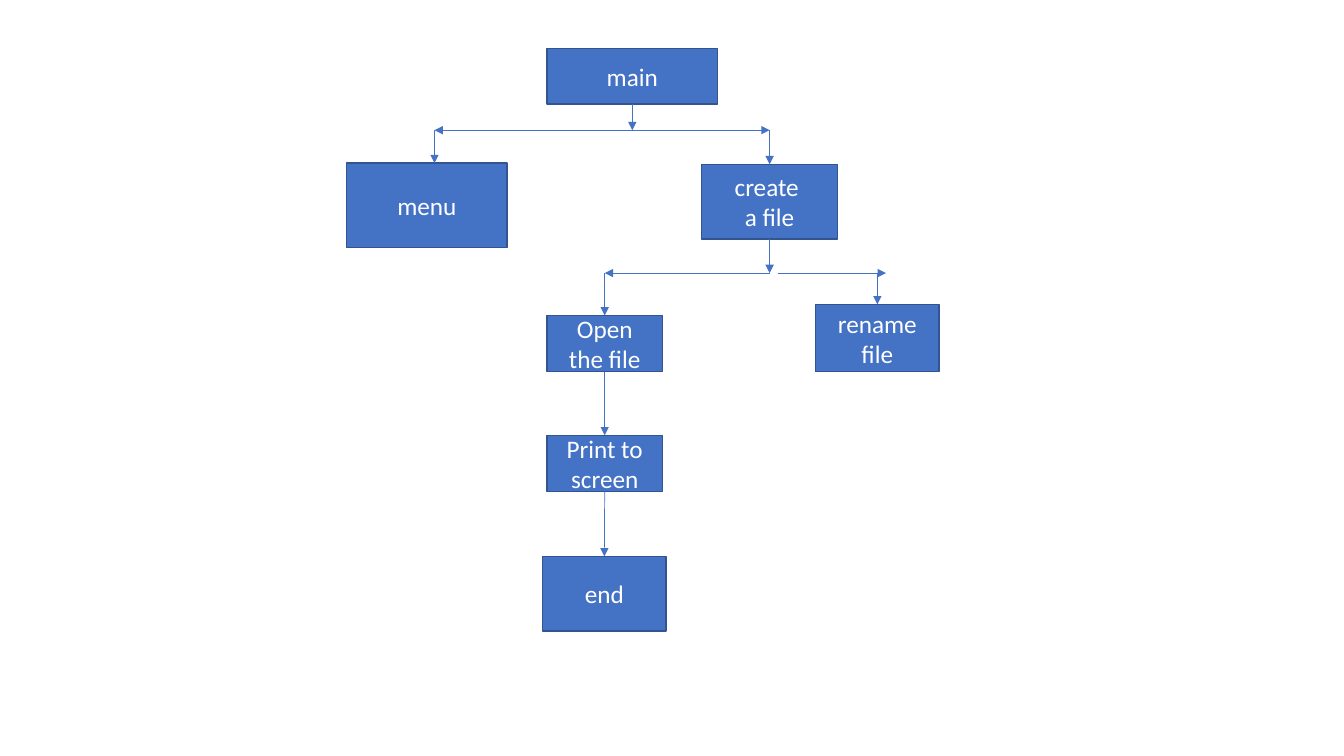
import pptx
import pptx.dml.color
import pptx.enum.shapes
import pptx.enum.text
import pptx.util
from lxml import etree
from pptx.oxml.ns import qn

FILL = "4472C4"
BORDER = "325491"
WHITE = "FFFFFF"
FONT = "Calibri"

# name: (text, left, top, width, height) in centimetres
BOXES = {
    "main": ("main", 13.79, 1.22, 4.29, 1.4),
    "menu": ("menu", 8.74, 4.11, 4.04, 2.13),
    "create": ("create \na file", 17.68, 4.14, 3.43, 1.88),
    "rename": ("rename file", 20.55, 7.67, 3.12, 1.7),
    "open": ("Open the file", 13.79, 7.95, 2.9, 1.42),
    "print": ("Print to screen", 13.79, 10.97, 2.9, 1.42),
    "end": ("end", 13.67, 14.02, 3.12, 1.88),
}
UPPER_BRANCH = 3.28
LOWER_BRANCH = 6.88
MENU_ARROW_X = 10.95


def color(value):
    """Turn a hex string into a colour."""
    return pptx.dml.color.RGBColor.from_string(value)


def add_box(slide, text, left, top, width, height):
    """Add a blue box with centred white text."""
    shape = slide.shapes.add_shape(
        pptx.enum.shapes.MSO_SHAPE.RECTANGLE,
        *map(pptx.util.Cm, (left, top, width, height)))
    shape.shadow.inherit = False
    shape.fill.solid()
    shape.fill.fore_color.rgb = color(FILL)
    shape.line.color.rgb = color(BORDER)
    shape.line.width = pptx.util.Pt(1)
    frame = shape.text_frame
    frame.text = text
    frame.word_wrap = True
    frame.vertical_anchor = pptx.enum.text.MSO_ANCHOR.MIDDLE
    for paragraph in frame.paragraphs:
        paragraph.alignment = pptx.enum.text.PP_ALIGN.CENTER
        for run in paragraph.runs:
            run.font.name = FONT
            run.font.size = pptx.util.Pt(18)
            run.font.color.rgb = color(WHITE)


def add_arrow(slide, start, end):
    """Add a thin straight arrow between two points."""
    connector = slide.shapes.add_connector(
        pptx.enum.shapes.MSO_CONNECTOR.STRAIGHT,
        *map(pptx.util.Cm, (*start, *end)))
    connector.line.color.rgb = color(FILL)
    connector.line.width = pptx.util.Pt(0.5)
    etree.SubElement(connector.line._get_or_add_ln(), qn("a:tailEnd"), type="triangle")
    etree.SubElement(connector._element.spPr, qn("a:effectLst"))


def add_path(slide, *points):
    """Join successive points with arrows."""
    for start, end in zip(points, points[1:]):
        add_arrow(slide, start, end)


def top_of(name):
    """Return the top centre of a box."""
    _, left, top, width, _ = BOXES[name]
    return left + width / 2, top


def bottom_of(name):
    """Return the bottom centre of a box."""
    x, top = top_of(name)
    return x, top + BOXES[name][4]


def main():
    """Build the program structure chart."""
    presentation = pptx.Presentation()
    presentation.slide_width = pptx.util.Cm(33.87)
    presentation.slide_height = pptx.util.Cm(19.05)
    slide = presentation.slides.add_slide(presentation.slide_layouts[6])
    for box in BOXES.values():
        add_box(slide, *box)

    main_x, create_x = top_of("main")[0], top_of("create")[0]
    open_x, rename_x = top_of("open")[0], top_of("rename")[0]
    main_fork = (main_x, UPPER_BRANCH)
    add_path(slide, bottom_of("main"), main_fork,
             (MENU_ARROW_X, UPPER_BRANCH), (MENU_ARROW_X, top_of("menu")[1]))
    add_path(slide, main_fork, (create_x, UPPER_BRANCH), top_of("create"))
    add_path(slide, bottom_of("create"), (create_x, LOWER_BRANCH),
             (open_x, LOWER_BRANCH), top_of("open"))
    add_arrow(slide, (create_x + 0.22, LOWER_BRANCH), (rename_x + 0.22, LOWER_BRANCH))
    add_arrow(slide, (rename_x, LOWER_BRANCH), top_of("rename"))
    for upper, lower in (("open", "print"), ("print", "end")):
        add_arrow(slide, bottom_of(upper), top_of(lower))

    presentation.save("out.pptx")


main()
